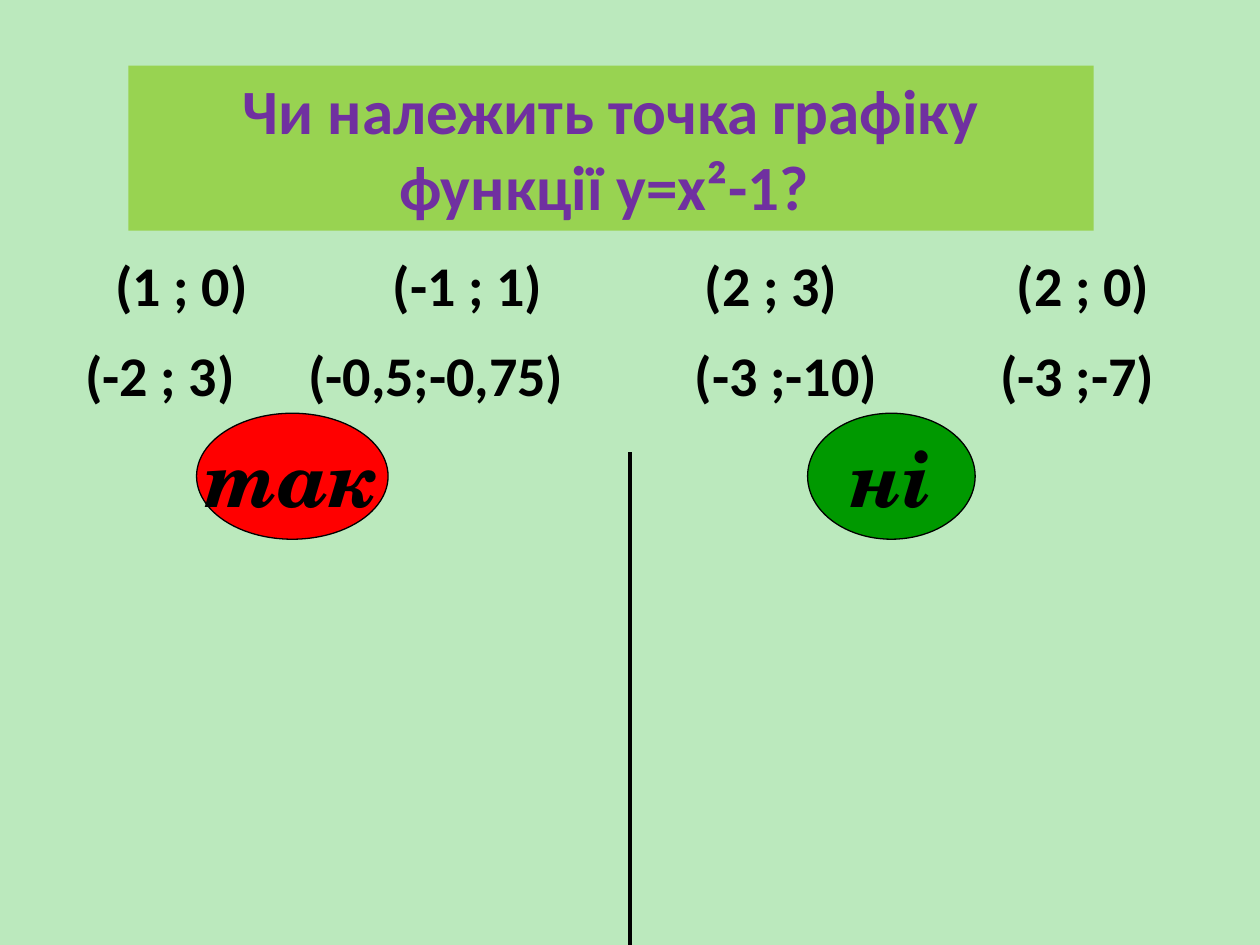
from dataclasses import dataclass

from lxml import etree
from pptx import Presentation
from pptx import util as u
from pptx.dml.color import RGBColor
from pptx.enum import shapes, text
from pptx.oxml.ns import qn

COLS, ROWS = 100, 75
CELL = u.Inches(0.1)
POINT_TOP, POINT_HEIGHT = 19.4, 7.1

COLORS = {
    "background": "BBE9BD",
    "banner": "98D351",
    "title": "7030A0",
    "ink": "000000",
    "yes": "FF0000",
    "no": "009900",
}


@dataclass(frozen=True)
class Point:
    label: str
    row: int
    col: float
    width: float


@dataclass(frozen=True)
class Answer:
    label: str
    col: float
    width: float
    color: str


POINTS = [
    Point("(2 ; 3) ", 0, 53.1, 17.2),
    Point("(-1 ; 1)", 0, 28.9, 16.4),
    Point("(1 ; 0) ", 0, 5.5, 18.8),
    Point("(2 ; 0)", 0, 78.9, 14.1),
    Point("(-2 ; 3) ", 1, 0, 26.4),
    Point("(-0,5;-0,75) ", 1, 21.9, 26.4),
    Point("(-3 ;-10) ", 1, 53.9, 18),
    Point("(-3 ;-7)", 1, 77.3, 16.4),
]
ANSWERS = [
    Answer("так", 15.6, 15.2, "yes"),
    Answer("ні", 64.1, 13.3, "no"),
]


def grid(*cells: float) -> list[int]:
    """Turn grid cells into slide lengths."""
    return [round(c * CELL) for c in cells]


def rgb(name: str) -> RGBColor:
    return RGBColor.from_string(COLORS[name])


def write(sp, content: str, *, size: float, font: str = "Calibri",
          color: str = "ink", italic: bool = False, wrap: bool = True,
          anchor=text.MSO_ANCHOR.TOP) -> None:
    tf = sp.text_frame
    tf.word_wrap = wrap
    tf.vertical_anchor = anchor
    p = tf.paragraphs[0]
    p.alignment = text.PP_ALIGN.CENTER
    r = p.add_run()
    r.text = content
    r.font.name = font
    r.font.size = u.Pt(size)
    r.font.bold = True
    r.font.italic = italic
    r.font.color.rgb = rgb(color)


def add_filled(s, kind, box: list[int], fill: str):
    sp = s.shapes.add_shape(kind, *box)
    sp.shadow.inherit = False
    sp.fill.solid()
    sp.fill.fore_color.rgb = rgb(fill)
    return sp


def add_point(s, point: Point) -> None:
    top = POINT_TOP + point.row * POINT_HEIGHT
    sp = s.shapes.add_textbox(*grid(point.col, top, point.width, POINT_HEIGHT))
    write(sp, point.label, size=32)


def add_answer(s, answer: Answer) -> None:
    sp = add_filled(s, shapes.MSO_SHAPE.OVAL,
                    grid(answer.col, 32.8, answer.width, 10), answer.color)
    sp.line.color.rgb = rgb("ink")
    sp.line.width = u.Pt(0.75)
    write(sp, answer.label, size=44, font="TeX Gyre Schola", italic=True,
          wrap=False, anchor=text.MSO_ANCHOR.MIDDLE)


def add_divider(s) -> None:
    line = s.shapes.add_connector(shapes.MSO_CONNECTOR.STRAIGHT,
                                  *grid(COLS / 2, 35.9, COLS / 2, ROWS))
    line.line.color.rgb = rgb("ink")
    line.line.width = u.Pt(2.75)
    etree.SubElement(line._element.spPr, qn("a:effectLst"))


def add_title(s) -> None:
    sp = add_filled(s, shapes.MSO_SHAPE.RECTANGLE,
                    grid(10.2, 5.2, 76.6, 13.1), "banner")
    sp.line.fill.background()
    write(sp, "Чи належить точка графіку функції у=х²-1? ", size=36, color="title")


def main() -> None:
    prs = Presentation()
    prs.slide_width, prs.slide_height = grid(COLS, ROWS)
    s = prs.slides.add_slide(prs.slide_layouts[6])
    s.background.fill.solid()
    s.background.fill.fore_color.rgb = rgb("background")
    for point in POINTS:
        add_point(s, point)
    for answer in ANSWERS:
        add_answer(s, answer)
    add_divider(s)
    add_title(s)
    prs.save("out.pptx")


if __name__ == "__main__":
    main()
